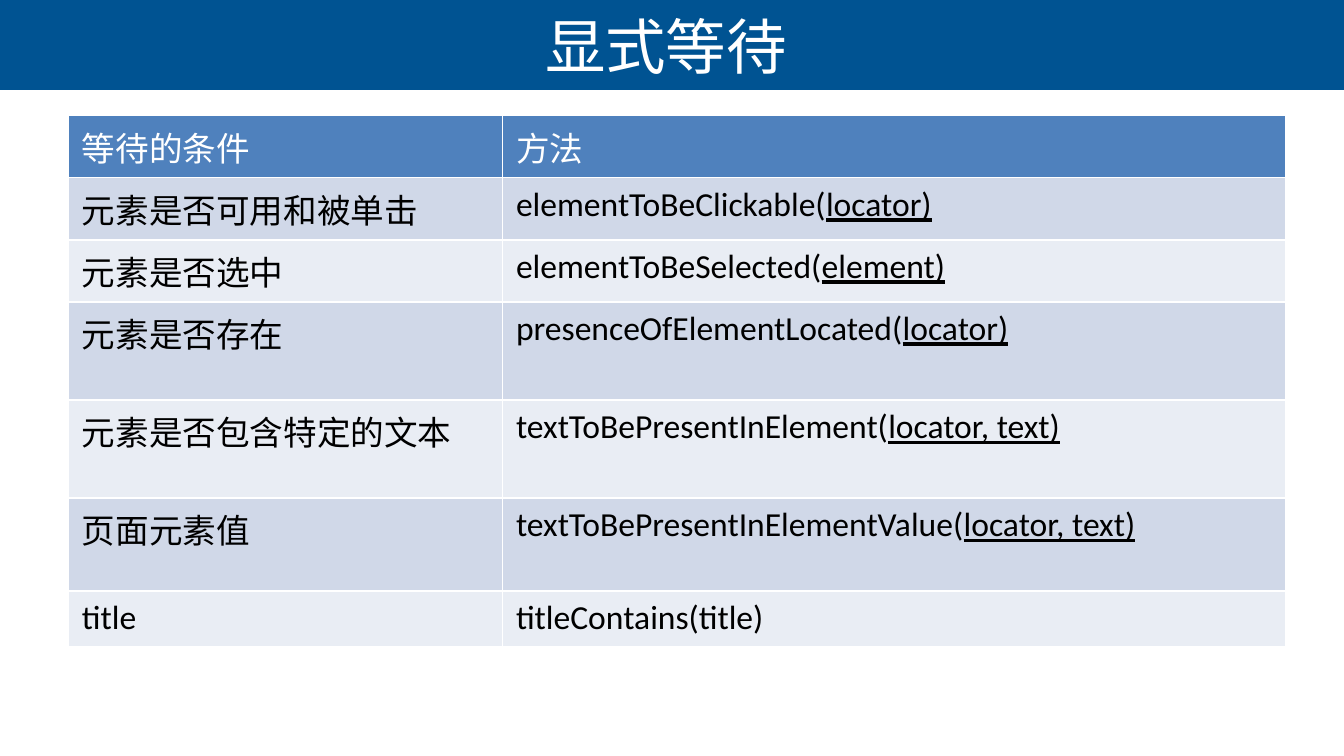
from pptx import Presentation
from pptx.dml import color
from pptx.enum import shapes, text
from pptx.oxml import ns
from pptx.util import Inches, Pt
from lxml import etree

HAN = "Noto Sans CJK SC"
ROWS = [  # condition, method, underlined arguments, row height
    ("等待的条件", "方法", "", 0.42),
    ("元素是否可用和被单击", "elementToBeClickable(", "locator)", 0.42),
    ("元素是否选中", "elementToBeSelected(", "element)", 0.42),
    ("元素是否存在", "presenceOfElementLocated(", "locator)", 0.73),
    ("元素是否包含特定的文本", "textToBePresentInElement(", "locator, text)", 0.73),
    ("页面元素值", "textToBePresentInElementValue(", "locator, text)", 0.69),
    ("title", "titleContains(title)", "", 0.42),
]


def paint(target, shade):
    target.solid()
    target.fore_color.rgb = color.RGBColor.from_string(shade)


def add_run(para, words, size, shade, face="Calibri", under=False):
    run = para.add_run()
    run.text = words
    font = run.font
    font.size, font.name, font.bold = Pt(size), face, False
    if under:
        font.underline = True
    paint(font.fill, shade)
    return run


def add_header(slide, left, top, width, height):
    # Blue band behind the title
    band = slide.shapes.add_shape(shapes.MSO_SHAPE.RECTANGLE, Inches(left),
                                  Inches(top), Inches(width), Inches(height))
    band.shadow.inherit = False
    paint(band.fill, "005392")
    band.line.fill.background()
    slide.shapes._spTree.insert(2, band._element)

    # Title placeholder
    title = slide.shapes.title
    title.left, title.top = Inches(left + 0.02), Inches(top)
    title.width, title.height = Inches(width - 0.13), Inches(height)
    frame = title.text_frame
    frame.vertical_anchor = text.MSO_ANCHOR.MIDDLE
    frame.auto_size = text.MSO_AUTO_SIZE.NONE
    para = frame.paragraphs[0]
    para.alignment = text.PP_ALIGN.CENTER
    run = add_run(para, "显式等待", 32.4, "FFFFFF", HAN)
    # Chinese text takes the East Asian typeface
    asian = etree.Element(ns.qn("a:ea"), typeface=HAN)
    run._r.rPr.find(ns.qn("a:latin")).addnext(asian)


def add_methods(slide, left, top, width, first):
    high = sum(row[-1] for row in ROWS)
    grid = slide.shapes.add_table(len(ROWS), 2, Inches(left), Inches(top),
                                  Inches(width), Inches(high)).table
    grid.columns[0].width = Inches(first)
    grid.columns[1].width = Inches(width - first)
    for i, (need, call, args, tall) in enumerate(ROWS):
        grid.rows[i].height = Inches(tall)
        back = "4F81BD" if i == 0 else "D0D8E8" if i % 2 else "E9EDF4"
        ink = "000000" if i else "FFFFFF"
        for j, words in enumerate((need, call)):
            cell = grid.cell(i, j)
            paint(cell.fill, back)
            para = cell.text_frame.paragraphs[0]
            add_run(para, words, 18, ink)
            if j and args:
                add_run(para, args, 18, ink, under=True)


def main():
    deck = Presentation()
    # Widescreen, 16 to 9
    deck.slide_width = Inches(10)
    deck.slide_height = deck.slide_width * 9 // 16
    slide = deck.slides.add_slide(deck.slide_layouts[5])
    add_header(slide, 0, 0, 10, 0.67)
    add_methods(slide, 0.51, 0.86, 9.06, 3.23)
    deck.save("out.pptx")


if __name__ == "__main__":
    main()
